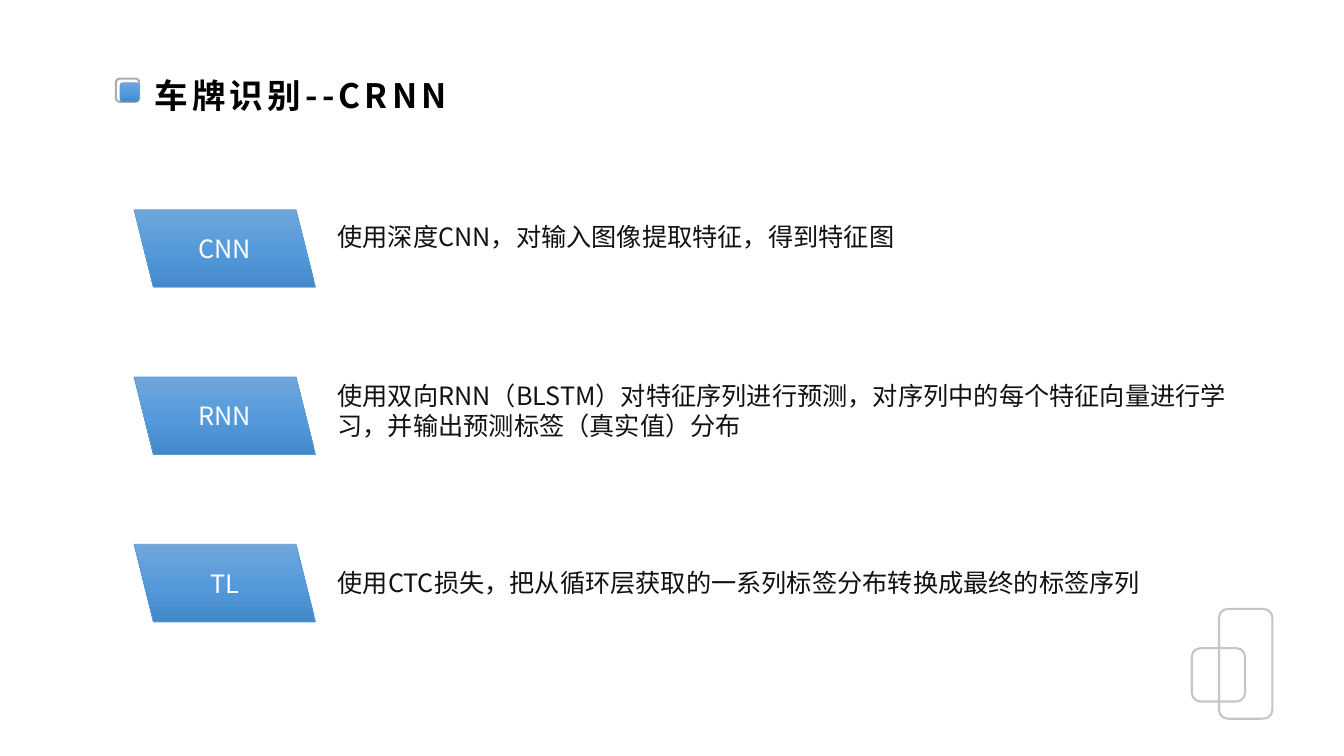
from copy import deepcopy
from dataclasses import dataclass
from typing import Optional

from pptx import Presentation
from pptx.dml.color import RGBColor
from pptx.enum.shapes import MSO_SHAPE
from pptx.enum.text import MSO_ANCHOR, MSO_AUTO_SIZE, PP_ALIGN
from pptx.oxml.ns import qn
from pptx.oxml.xmlchemy import OxmlElement
from pptx.util import Inches, Pt

FONT = "Noto Sans CJK SC"
COLORS = {
    "title": "000000",
    "body": "111111",
    "label": "FFFFFF",
    "edge": "5B9BD5",
    "mark": "AFABAB",
    "deco": "C5C5C5",
}
BLUES = [(0, "71A6DB"), (0.5, "559BDB"), (1, "448ACA")]


@dataclass
class Box:
    left: float
    top: float
    width: float
    height: float

    def place(self) -> tuple:
        return tuple(map(Inches, (self.left, self.top, self.width, self.height)))


@dataclass
class Step:
    label: str
    text: str
    box: Box


@dataclass
class Frame:
    box: Box
    color: Optional[str]  # None means a blue gradient tile


STEPS = [
    Step("CNN", "使用深度CNN，对输入图像提取特征，得到特征图",
         Box(3.25, 2.15, 8.57, 0.4)),
    Step("RNN", "使用双向RNN（BLSTM）对特征序列进行预测，对序列中的每个特征向量进行"
         "学习，并输出预测标签（真实值）分布", Box(3.25, 3.72, 9.16, 0.71)),
    Step("TL", "使用CTC损失，把从循环层获取的一系列标签分布转换成最终的标签序列",
         Box(3.25, 5.58, 8.39, 0.4)),
]
FRAMES = [
    Frame(Box(11.82, 6.43, 0.53, 0.53), "deco"),
    Frame(Box(12.09, 6.04, 0.53, 1.09), "deco"),
    Frame(Box(1.15, 0.78, 0.23, 0.23), "mark"),
    Frame(Box(1.19, 0.82, 0.19, 0.19), None),
]
FIRST, PITCH = 2.08, 1.66  # top of the first label and step between labels


def rgb(name: str) -> RGBColor:
    return RGBColor.from_string(COLORS[name])


def write(frame, text: str, size: int, color: str, align=PP_ALIGN.LEFT,
          anchor=MSO_ANCHOR.TOP):
    """Put one run into a text frame and return it."""
    frame.word_wrap = True
    frame.auto_size = MSO_AUTO_SIZE.NONE
    frame.vertical_anchor = anchor
    para = frame.paragraphs[0]
    para.alignment = align
    run = para.add_run()
    run.text = text
    run.font.size = Pt(size)
    run.font.name = FONT
    run.font.color.rgb = rgb(color)
    east = OxmlElement("a:ea")
    east.set("typeface", FONT)
    run.font._element.find(qn("a:latin")).addnext(east)
    return run


def shade(shape) -> None:
    """Fill a shape with the vertical blue gradient and a thin edge."""
    shape.fill.gradient()
    stops = shape._element.spPr.find(".//" + qn("a:gsLst"))
    stops.append(deepcopy(stops[0]))
    for stop, (pos, color) in zip(shape.fill.gradient_stops, BLUES):
        stop.position = pos
        stop.color.rgb = RGBColor.from_string(color)
    shape.fill.gradient_angle = 270
    shape.line.color.rgb = rgb("edge")
    shape.line.width = Pt(0.5)


def draw(slide, kind, box: Box, color: Optional[str] = None):
    """Add an outlined shape, or a gradient one when no colour is given."""
    shape = slide.shapes.add_shape(kind, *box.place())
    shape.shadow.inherit = False
    if color is None:
        shade(shape)
    else:
        shape.fill.background()
        shape.line.color.rgb = rgb(color)
        shape.line.width = Pt(1.5)
    return shape


def main() -> None:
    deck = Presentation()
    deck.slide_width, deck.slide_height = Inches(13.33), Inches(7.5)
    slide = deck.slides.add_slide(deck.slide_layouts[5])

    # Title
    title = slide.shapes.title
    title.left, title.top, title.width, title.height = Box(1.43, 0.69, 4.55, 0.5).place()
    run = write(title.text_frame, "车牌识别--CRNN", 24, "title")
    run.font.bold = True
    run.font._element.set("spc", "300")

    # Title mark and corner ornament
    for item in FRAMES:
        draw(slide, MSO_SHAPE.ROUNDED_RECTANGLE, item.box, item.color)

    # Steps: slanted label and explanation
    for row, step in enumerate(STEPS):
        tag = draw(slide, MSO_SHAPE.PARALLELOGRAM,
                   Box(1.33, FIRST + row * PITCH, 1.8, 0.77))
        tag._element.spPr.xfrm.set("flipH", "1")
        write(tag.text_frame, step.label, 18, "label", PP_ALIGN.CENTER, MSO_ANCHOR.MIDDLE)
        note = slide.shapes.add_textbox(*step.box.place())
        write(note.text_frame, step.text, 18, "body")

    deck.save("out.pptx")


if __name__ == "__main__":
    main()
